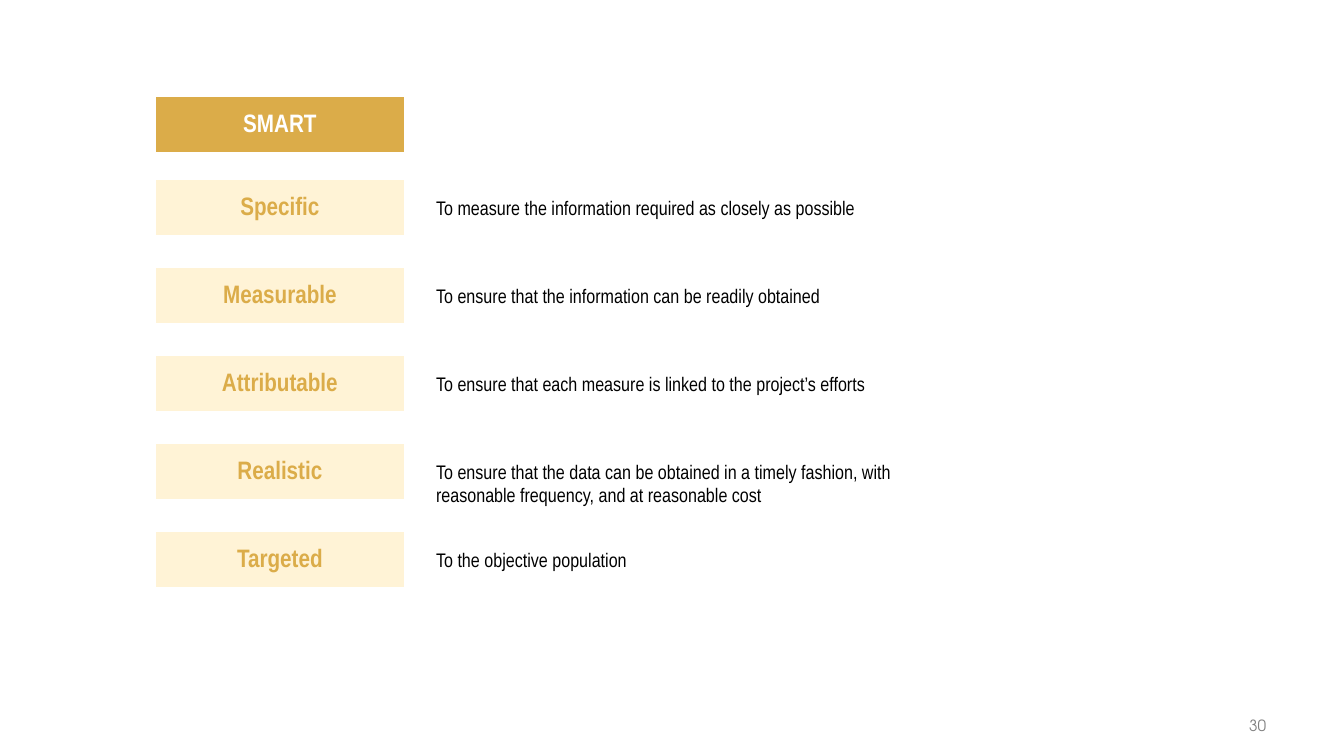
from pptx import Presentation
from pptx import util as u
from pptx.dml.color import RGBColor
from pptx.enum import shapes, text

# Content
HEADING = "SMART"
CRITERIA = [
    ("Specific", ["To measure the information required as closely as possible"]),
    ("Measurable", ["To ensure that the information can be readily obtained"]),
    ("Attributable", ["To ensure that each measure is linked to the project’s efforts"]),
    ("Realistic", ["To ensure that the data can be obtained in a timely fashion, with",
                   "reasonable frequency, and at reasonable cost"]),
    ("Targeted", ["To the objective population"]),
]
PAGE_NUMBER = "30"

# Style and layout, in centimetres
GOLD, CREAM, WHITE, BLACK, GREY = "DBAC49", "FFF3D6", "FFFFFF", "000000", "7F7F7F"
BODY_FONT, NUMBER_FONT = "Arial Narrow", "TeX Gyre Adventor"
LABEL_LEFT, LABEL_WIDTH, LABEL_HEIGHT = 3.89, 6.33, 1.45
HEADING_TOP, FIRST_TOP, ROW_STEP = 2.41, 4.5, 2.22
NOTE_LEFT, NOTE_WIDTH, NOTE_OFFSET = 10.74, 16.94, 0.3
NOTE_PADDING, NOTE_LINE = 0.26, 0.59


def color(value):
    return RGBColor.from_string(value)


def place(box, left, top, width, height):
    box.left, box.top, box.width, box.height = map(u.Cm, (left, top, width, height))


def write(box, lines, size, ink, font=BODY_FONT, bold=False,
          align=text.PP_ALIGN.LEFT, spacing=1.0):
    frame = box.text_frame
    frame.word_wrap = True
    for index, line in enumerate(lines):
        para = frame.paragraphs[0] if index == 0 else frame.add_paragraph()
        para.alignment = align
        para.line_spacing = spacing
        span = para.add_run()
        span.text = line
        span.font.name, span.font.size, span.font.bold = font, u.Pt(size), bold
        span.font.color.rgb = color(ink)


def format_label(box, top, caption, fill, ink):
    place(box, LABEL_LEFT, top, LABEL_WIDTH, LABEL_HEIGHT)
    box.fill.solid()
    box.fill.fore_color.rgb = color(fill)
    box.line.color.rgb = color(WHITE)
    box.line.width = u.Pt(2)
    frame = box.text_frame
    frame.auto_size = text.MSO_AUTO_SIZE.NONE
    frame.vertical_anchor = text.MSO_ANCHOR.MIDDLE
    frame.margin_left = frame.margin_right = u.Cm(0.3)
    frame.margin_top = frame.margin_bottom = u.Cm(0.3)
    write(box, [caption], 18, ink, bold=True, align=text.PP_ALIGN.CENTER, spacing=0.9)


def add_text(page, left, top, width, height):
    return page.shapes.add_textbox(*map(u.Cm, (left, top, width, height)))


def main():
    deck = Presentation()
    deck.slide_width, deck.slide_height = u.Cm(33.87), u.Cm(19.05)
    page = deck.slides.add_slide(deck.slide_layouts[5])

    # Heading
    format_label(page.shapes.title, HEADING_TOP, HEADING, GOLD, WHITE)

    # Criteria with their explanations
    for row, (caption, lines) in enumerate(CRITERIA):
        top = FIRST_TOP + row * ROW_STEP
        label = page.shapes.add_shape(shapes.MSO_SHAPE.RECTANGLE, 0, 0, 0, 0)
        label.shadow.inherit = False
        format_label(label, top, caption, CREAM, GOLD)
        note = add_text(page, NOTE_LEFT, top + NOTE_OFFSET, NOTE_WIDTH,
                        NOTE_PADDING + NOTE_LINE * len(lines))
        note.text_frame.auto_size = text.MSO_AUTO_SIZE.SHAPE_TO_FIT_TEXT
        write(note, lines, 14, BLACK)

    # Page number
    number = add_text(page, 29.01, 17.91, 3.15, 0.61)
    write(number, [PAGE_NUMBER], 11, GREY, font=NUMBER_FONT, align=text.PP_ALIGN.RIGHT)

    deck.save("out.pptx")


if __name__ == "__main__":
    main()
